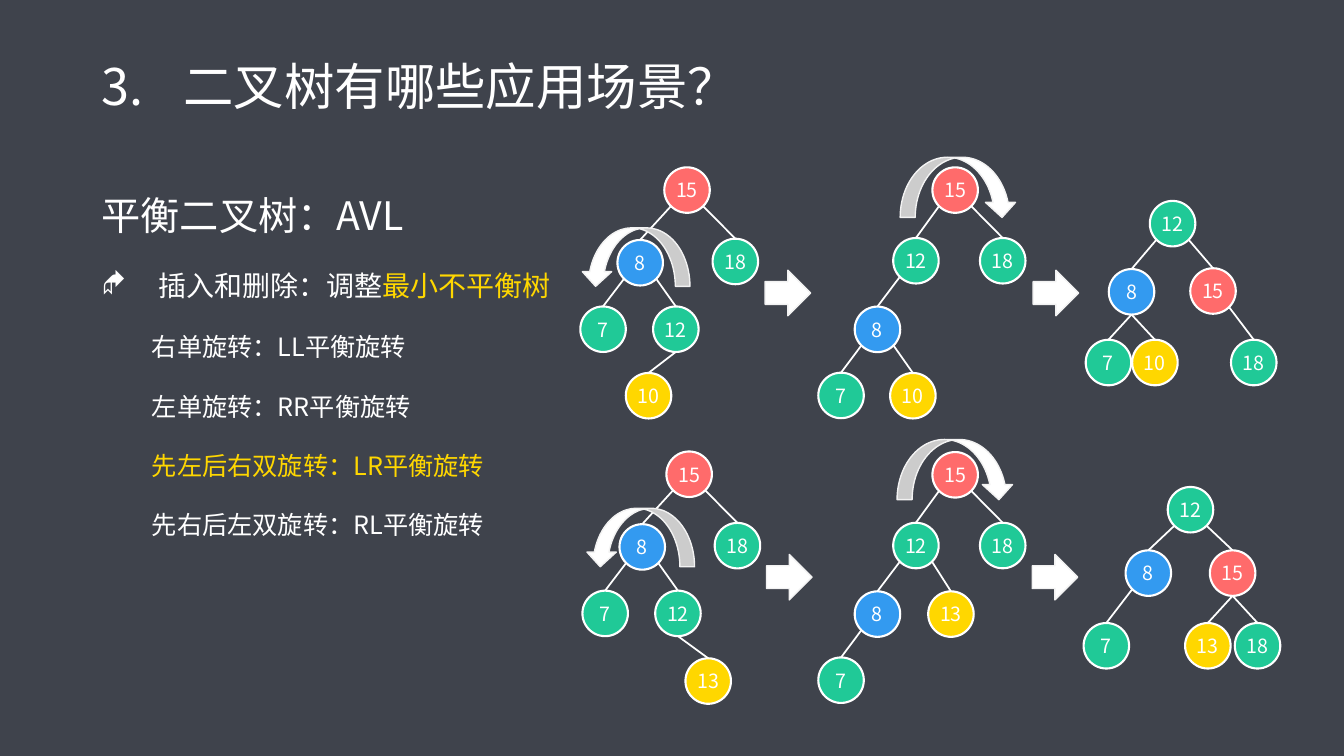
"""Build the slide on AVL rotations: text on the left, two rows of trees on the right."""
from lxml import etree
from pptx import Presentation, util as u
from pptx.dml.color import RGBColor
from pptx.enum import shapes, text
from pptx.oxml.ns import qn

FONT = "Noto Sans CJK SC"
COLORS = {
    "back": "3F434C", "white": "FFFFFF", "edge": "F2F2F2", "gold": "FFD700",
    "red": "FF6B6B", "blue": "339AF0", "green": "20C997",
}
KEY_COLORS = {15: "red", 8: "blue", 10: "gold", 13: "gold"}
NODE = 32.5
EXITS = {"left": (0.15, 0.85), "right": (0.85, 0.85), "bottom": (0.5, 1)}


def add_run(paragraph, words, size, color="white"):
    run = paragraph.add_run()
    run.text = words
    run.font.size = u.Pt(size)
    run.font.color.rgb = RGBColor.from_string(COLORS[color])
    run.font.name = FONT
    etree.SubElement(run.font._element, qn("a:ea"), typeface=FONT)


def add_figure(kind, left, top, width, height, fill, line, weight):
    figure = slide.shapes.add_shape(kind, u.Pt(left), u.Pt(top), u.Pt(width), u.Pt(height))
    figure.shadow.inherit = False
    figure.fill.solid()
    figure.fill.fore_color.rgb = RGBColor.from_string(COLORS[fill])
    figure.line.color.rgb = RGBColor.from_string(COLORS[line])
    figure.line.width = u.Pt(weight)
    return figure


prs = Presentation()
prs.slide_width, prs.slide_height = u.Pt(960), u.Pt(540)
slide = prs.slides.add_slide(prs.slide_layouts[6])
slide.background.fill.solid()
slide.background.fill.fore_color.rgb = RGBColor.from_string(COLORS["back"])

title = slide.shapes.add_textbox(u.Pt(65.5), u.Pt(21), u.Pt(828), u.Pt(85)).text_frame
title.word_wrap = True
title.vertical_anchor = text.MSO_ANCHOR.MIDDLE
heading = title.paragraphs[0]
heading.line_spacing = 0.9
heading_props = heading._p.get_or_add_pPr()
heading_props.set("marL", str(u.Pt(58.5)))
heading_props.set("indent", str(u.Pt(-58.5)))
etree.SubElement(heading_props, qn("a:buFont"), typeface=FONT)
etree.SubElement(heading_props, qn("a:buAutoNum"), type="arabicPeriod", startAt="3")
add_run(heading, "二叉树有哪些应用场景？", 36)

outline = slide.shapes.add_textbox(u.Pt(65.5), u.Pt(106), u.Pt(828), u.Pt(404)).text_frame
outline.word_wrap = True
outline.margin_top = u.Pt(13.6)
points = [
    (0, 28, [("平衡二叉树：AVL", "white")]),
    (1, 20, [("插入和删除：调整", "white"), ("最小不平衡树", "gold")]),
    (2, 18, [("右单旋转：LL平衡旋转", "white")]),
    (2, 18, [("左单旋转：RR平衡旋转", "white")]),
    (2, 18, [("先左后右双旋转：LR平衡旋转", "gold")]),
    (2, 18, [("先右后左双旋转：RL平衡旋转", "white")]),
]
margins = [(0, 0), (40.5, -40.5), (36, 0)]
for index, (level, size, parts) in enumerate(points):
    point = outline.paragraphs[0] if index == 0 else outline.add_paragraph()
    point.level = level
    point.line_spacing = 1.5
    if index:
        point.space_before = u.Pt(10)
    point_props = point._p.get_or_add_pPr()
    margin, indent = margins[level]
    point_props.set("marL", str(u.Pt(margin)))
    point_props.set("indent", str(u.Pt(indent)))
    if level == 1:
        etree.SubElement(point_props, qn("a:buFont"), typeface="Wingdings")
        etree.SubElement(point_props, qn("a:buChar"), char="◆")
    for words, color in parts:
        add_run(point, words, size, color)

unbalanced = [
    (15, 474.5, 119.5, None, None), (8, 441, 171.4, 15, "left"),
    (18, 509, 170.5, 15, "right"), (7, 414.5, 218.9, 8, "left"),
    (12, 466.5, 218.9, 8, "right"),
]
rotated = [
    (15, 666, 119.5, None, None), (12, 638, 170, 15, "left"),
    (18, 700, 170, 15, "right"), (8, 610.5, 219, 12, "left"),
    (7, 584.5, 266.2, 8, "left"),
]
trees = [
    (0, 0, unbalanced + [(10, 447, 266.4, 12, "bottom")]),
    (1.5, 203, unbalanced + [(13, 488.1, 267.2, 12, "bottom")]),
    (0, 0, rotated + [(10, 635.8, 266.4, 8, "right")]),
    (0, 203.4, rotated + [(13, 663, 219, 12, "right")]),
    (0, 0, [
        (12, 821.3, 143.5, None, None), (8, 792, 192.2, 12, "left"),
        (15, 850.2, 191.6, 12, "right"), (7, 775.5, 242.7, 8, "bottom"),
        (10, 808.7, 242.7, 8, "bottom"), (18, 879.3, 242.7, 15, "right"),
    ]),
    (0, 0, [
        (12, 834.1, 347.8, None, None), (8, 804, 393.1, 12, "left"),
        (15, 864.2, 393.1, 12, "right"), (7, 774, 445, 8, "left"),
        (13, 846.5, 445, 15, "bottom"), (18, 882, 445, 15, "bottom"),
    ]),
]
for shift_x, shift_y, tree in trees:
    placed = {}
    for key, left, top, parent, exit_side in tree:
        left, top = left + shift_x, top + shift_y
        placed[key] = left, top
        node = add_figure(shapes.MSO_SHAPE.OVAL, left, top, NODE, NODE,
                          KEY_COLORS.get(key, "green"), "white", 1.5)
        label = node.text_frame
        label.margin_left = label.margin_right = 0
        label.margin_top = label.margin_bottom = u.Pt(3.6)
        label.vertical_anchor = text.MSO_ANCHOR.MIDDLE
        label.paragraphs[0].alignment = text.PP_ALIGN.CENTER
        add_run(label.paragraphs[0], str(key), 14)
        if parent is None:
            continue
        parent_left, parent_top = placed[parent]
        across, down = EXITS[exit_side]
        branch = slide.shapes.add_connector(
            shapes.MSO_CONNECTOR.STRAIGHT,
            u.Pt(parent_left + across * NODE), u.Pt(parent_top + down * NODE),
            u.Pt(left + NODE / 2), u.Pt(top))
        branch.end_connect(node, 0)
        branch.line.color.rgb = RGBColor.from_string(COLORS["white"])
        branch.line.width = u.Pt(1.25)
        etree.SubElement(branch._element.spPr, qn("a:effectLst"))

step, turn_left, turn_right = (
    shapes.MSO_SHAPE.RIGHT_ARROW, shapes.MSO_SHAPE.CURVED_RIGHT_ARROW,
    shapes.MSO_SHAPE.CURVED_DOWN_ARROW)
arrows = [
    (step, 546.5, 193, 32.5, 32.5, 0), (step, 738, 193, 32.5, 32.5, 0),
    (step, 547.5, 396, 32.5, 32.5, 0), (step, 737.3, 396, 32.5, 32.5, 0),
    (turn_left, 433, 144.7, 41.8, 77.8, 90), (turn_left, 436.3, 345, 41.8, 77.8, 90),
    (turn_right, 643, 112.3, 83.5, 43, 0), (turn_right, 640.8, 313.9, 83.5, 43, 0),
]
for kind, left, top, width, height, angle in arrows:
    arrow = add_figure(kind, left, top, width, height, "white", "edge", 1)
    arrow.rotation = angle

prs.save("out.pptx")
